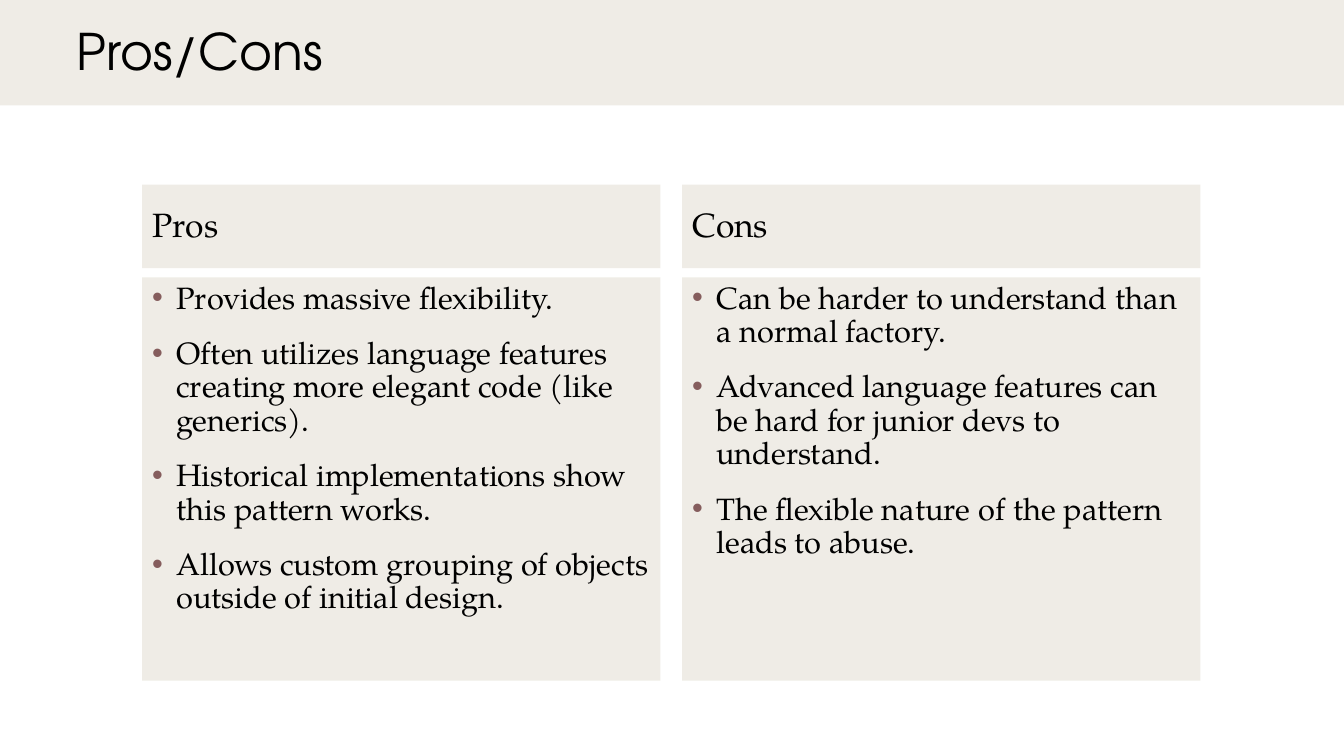
from dataclasses import dataclass

import lxml.etree as etree
import pptx
import pptx.dml.color
import pptx.enum.shapes
import pptx.enum.text
import pptx.oxml.ns
import pptx.util
from pptx.util import Cm

qn = pptx.oxml.ns.qn
Anchor = pptx.enum.text.MSO_ANCHOR


@dataclass(frozen=True)
class Theme:
    panel: str = "E9E5DC"
    panel_opacity: int = 70
    text: str = "000000"
    bullet: str = "855D5D"
    title_font: str = "TeX Gyre Adventor"
    body_font: str = "TeX Gyre Pagella"
    title_size: int = 36
    heading_size: int = 24
    list_size: int = 22
    item_gap: int = 16
    line_spacing: float = 0.9


@dataclass(frozen=True)
class Column:
    heading: str
    items: tuple[str, ...]


THEME = Theme()
COLUMNS = (
    Column("Pros", (
        "Provides massive flexibility.",
        "Often utilizes language features creating more elegant code (like generics).",
        "Historical implementations show this pattern works.",
        "Allows custom grouping of objects outside of initial design.",
    )),
    Column("Cons", (
        "Can be harder to understand than a normal factory.",
        "Advanced language features can be hard for junior devs to understand.",
        "The flexible nature of the pattern leads to abuse.",
    )),
)

PAGE_WIDTH, PAGE_HEIGHT = Cm(33.87), Cm(19.05)
BAND_TOP, BAND_HEIGHT = Cm(-0.08), Cm(2.74)
COLUMN_LEFT, COLUMN_WIDTH, COLUMN_GAP = Cm(3.58), Cm(13.06), Cm(0.55)
HEADING_TOP, HEADING_HEIGHT = Cm(4.65), Cm(2.11)
LIST_TOP, LIST_HEIGHT = Cm(6.99), Cm(10.16)


def place(shape, left: int, top: int, width: int, height: int) -> None:
    shape.left, shape.top, shape.width, shape.height = left, top, width, height


def fill_panel(shape) -> None:
    """Give the shape the translucent panel colour and no outline."""
    shape.fill.solid()
    shape.fill.fore_color.rgb = pptx.dml.color.RGBColor.from_string(THEME.panel)
    shape.line.fill.background()
    colour = shape.element.spPr.find(qn("a:solidFill")).find(qn("a:srgbClr"))
    etree.SubElement(colour, qn("a:alpha"), val=str(THEME.panel_opacity * 1000))


def write(shape, text: str, font: str, size: int, anchor: Anchor, gap: int = 0) -> None:
    """Fill the shape with one formatted paragraph per line of text."""
    frame = shape.text_frame
    frame.text = text
    frame.word_wrap = True
    frame.auto_size = pptx.enum.text.MSO_AUTO_SIZE.NONE
    frame.vertical_anchor = anchor
    for para in frame.paragraphs:
        para.alignment = pptx.enum.text.PP_ALIGN.LEFT
        para.line_spacing = THEME.line_spacing
        para.space_before = pptx.util.Pt(gap)
        for span in para.runs:
            span.font.name = font
            span.font.size = pptx.util.Pt(size)
            span.font.bold = False
            span.font.color.rgb = pptx.dml.color.RGBColor.from_string(THEME.text)


def add_bullets(shape) -> None:
    for para in shape.text_frame.paragraphs:
        properties = para._p.get_or_add_pPr()
        properties.set("marL", str(Cm(0.61)))
        properties.set("indent", str(Cm(-0.64)))
        colour = etree.SubElement(properties, qn("a:buClr"))
        etree.SubElement(colour, qn("a:srgbClr"), val=THEME.bullet)
        etree.SubElement(properties, qn("a:buFont"), typeface="Arial")
        etree.SubElement(properties, qn("a:buChar"), char="•")


def add_title_band(page) -> None:
    """Draw the band behind every placeholder."""
    band = page.shapes.add_shape(
        pptx.enum.shapes.MSO_SHAPE.RECTANGLE, 0, BAND_TOP, PAGE_WIDTH, BAND_HEIGHT)
    band.shadow.inherit = False
    fill_panel(band)
    page.shapes.title.element.addprevious(band.element)


def fill_column(heading, listing, column: Column, left: int) -> None:
    place(heading, left, HEADING_TOP, COLUMN_WIDTH, HEADING_HEIGHT)
    fill_panel(heading)
    write(heading, column.heading, THEME.body_font, THEME.heading_size, Anchor.MIDDLE)

    place(listing, left, LIST_TOP, COLUMN_WIDTH, LIST_HEIGHT)
    fill_panel(listing)
    write(listing, "\n".join(column.items), THEME.body_font, THEME.list_size,
          Anchor.TOP, THEME.item_gap)
    add_bullets(listing)


def main() -> None:
    deck = pptx.Presentation()
    deck.slide_width, deck.slide_height = PAGE_WIDTH, PAGE_HEIGHT
    page = deck.slides.add_slide(deck.slide_layouts.get_by_name("Comparison"))

    add_title_band(page)
    title = page.shapes.title
    place(title, Cm(1.68), 0, Cm(32.16), BAND_HEIGHT)
    write(title, "Pros/Cons", THEME.title_font, THEME.title_size, Anchor.MIDDLE)

    bodies = [box for box in page.placeholders if box.placeholder_format.idx > 0]
    for index, column in enumerate(COLUMNS):
        heading, listing = bodies[2 * index:2 * index + 2]
        left = COLUMN_LEFT + index * (COLUMN_WIDTH + COLUMN_GAP)
        fill_column(heading, listing, column, left)

    deck.save("out.pptx")


if __name__ == "__main__":
    main()
